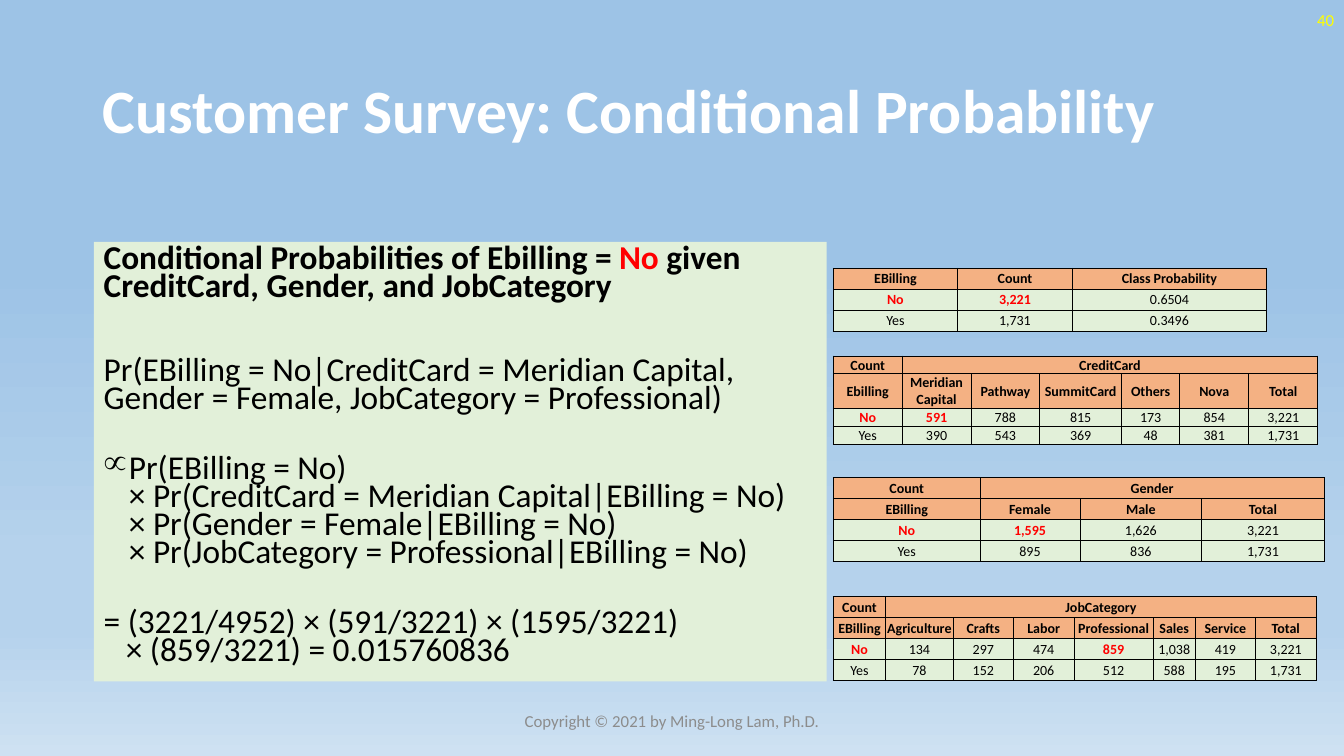
import copy
import dataclasses

import lxml.etree
import pptx
import pptx.dml.color
import pptx.enum.shapes
import pptx.enum.text
import pptx.oxml.ns
import pptx.util

qn = pptx.oxml.ns.qn
ALIGN = pptx.enum.text.PP_ALIGN
ANCHOR = pptx.enum.text.MSO_ANCHOR
WIDTH, HEIGHT = pptx.util.Inches(13.33), pptx.util.Inches(7.5)


@dataclasses.dataclass(frozen=True)
class Theme:
    font: str = "Calibri"
    ink: str = "000000"
    title: str = "FFFFFF"
    accent: str = "FF0000"
    page: str = "FFFF00"
    footer: str = "8C8C8C"
    panel: str = "E2F0D9"
    header: str = "F4B183"
    sky: tuple = ((0.35, "9DC3E6"), (0.74, "B5D2EC"), (0.83, "B5D2EC"), (1, "CEE1F2"))
    title_size: float = 44
    body_size: float = 23.8
    small_size: float = 12
    cell_size: float = 10
    border: float = 0.5


THEME = Theme()

TITLE_BOX = (6.9, 5.33, 86.25, 19.33)
PANEL_BOX = (6.98, 32, 54.53, 58.13)
PAGE_BOX = (77.5, 0, 22.5, 5.33)
FOOTER_BOX = (33.13, 92.67, 33.75, 5.33)
TABLE_LEFT, TABLE_WIDTH = 62, 35.93
ROW = 2.77
TIGHT_ROW = 2.35

# (text, space before in points, hanging indent in inches, bullet)
FORMULAS = [
    ("Pr(EBilling = No|CreditCard = Meridian Capital, "
     "Gender = Female, JobCategory = Professional)", 40, 0, None),
    ("Pr(EBilling = No)\v× Pr(CreditCard = Meridian Capital|EBilling = No)\v"
     "× Pr(Gender = Female|EBilling = No)\v"
     "× Pr(JobCategory = Professional|EBilling = No)", 30, 0.25, "∝"),
    ("= (3221/4952) × (591/3221) × (1595/3221)\v"
     "× (859/3221) = 0.015760836", 30, 0.22, None),
]

# top, row heights, column weights, column of the highlighted count, cells
TABLES = [
    (35.47, [ROW] * 3, [1.23, 1.23, 2.32], 1, [
        ["EBilling", "Count", "Class Probability"],
        ["No", "3,221", "0.6504"],
        ["Yes", "1,731", "0.3496"]]),
    (47.07, [TIGHT_ROW, 4.6, TIGHT_ROW, TIGHT_ROW],
     [0.68, 0.68, 0.68, 0.81, 0.56, 0.68, 0.68], 1, [
        ["Count", "CreditCard"],
        ["Ebilling", "Meridian Capital", "Pathway", "SummitCard", "Others", "Nova", "Total"],
        ["No", "591", "788", "815", "173", "854", "3,221"],
        ["Yes", "390", "543", "369", "48", "381", "1,731"]]),
    (63.2, [ROW] * 4, [1.46, 0.94, 1.2, 1.2], 1, [
        ["Count", "Gender"],
        ["EBilling", "Female", "Male", "Total"],
        ["No", "1,595", "1,626", "3,221"],
        ["Yes", "895", "836", "1,731"]]),
    (78.93, [ROW] * 4, [0.52, 0.68, 0.6, 0.6, 0.79, 0.4, 0.6, 0.6], 4, [
        ["Count", "JobCategory"],
        ["EBilling", "Agriculture", "Crafts", "Labor", "Professional", "Sales",
         "Service", "Total"],
        ["No", "134", "297", "474", "859", "1,038", "419", "3,221"],
        ["Yes", "78", "152", "206", "512", "588", "195", "1,731"]]),
]


def rgb(value):
    return pptx.dml.color.RGBColor.from_string(value)


def place(box):
    """Turn percentages of the slide into left, top, width and height."""
    return [round(share * side / 100) for share, side in zip(box, (WIDTH, HEIGHT) * 2)]


def format_runs(p, size, color, bold=False):
    for r in p.runs:
        r.font.name = THEME.font
        r.font.size = pptx.util.Pt(size)
        r.font.bold = bold
        r.font.color.rgb = rgb(color)


def paint_background(slide):
    fill = slide.background.fill
    fill.gradient()
    fill.gradient_angle = 270
    stops = slide.element.find(".//" + qn("a:gsLst"))
    while len(stops) < len(THEME.sky):
        stops.append(copy.deepcopy(stops[0]))
    for stop, (position, color) in zip(fill.gradient_stops, THEME.sky):
        stop.position = position
        stop.color.rgb = rgb(color)


def add_title(slide, box, text):
    sp = slide.shapes.title
    sp.left, sp.top, sp.width, sp.height = place(box)
    tf = sp.text_frame
    tf.text = text
    tf.auto_size = pptx.enum.text.MSO_AUTO_SIZE.NONE
    tf.vertical_anchor = ANCHOR.MIDDLE
    p = tf.paragraphs[0]
    p.alignment = ALIGN.LEFT
    p.line_spacing = 0.9
    format_runs(p, THEME.title_size, THEME.title, True)


def add_label(slide, box, text, color, alignment):
    tf = slide.shapes.add_textbox(*place(box)).text_frame
    tf.word_wrap = True
    tf.vertical_anchor = ANCHOR.MIDDLE
    tf.text = text
    p = tf.paragraphs[0]
    p.alignment = alignment
    format_runs(p, THEME.small_size, color)


def hang(p, indent, bullet):
    props = p._p.get_or_add_pPr()
    props.set("marL", str(pptx.util.Inches(indent)))
    props.set("indent", str(-pptx.util.Inches(indent)))
    if bullet:
        lxml.etree.SubElement(props, qn("a:buChar"), char=bullet)


def add_formula_panel(slide, box):
    sp = slide.shapes.add_shape(pptx.enum.shapes.MSO_SHAPE.RECTANGLE, *place(box))
    sp.shadow.inherit = False
    sp.fill.solid()
    sp.fill.fore_color.rgb = rgb(THEME.panel)
    sp.line.fill.background()
    tf = sp.text_frame
    tf.word_wrap = True
    tf.vertical_anchor = ANCHOR.TOP
    heading = tf.paragraphs[0]
    for text in ("Conditional Probabilities of Ebilling = ", "No",
                 " given CreditCard, Gender, and JobCategory"):
        heading.add_run().text = text
    format_runs(heading, THEME.body_size, THEME.ink, True)
    heading.runs[1].font.color.rgb = rgb(THEME.accent)
    for text, gap, indent, bullet in FORMULAS:
        p = tf.add_paragraph()
        p.text = text
        hang(p, indent, bullet)
        p.space_before = pptx.util.Pt(gap)
        format_runs(p, THEME.body_size, THEME.ink)
    for p in tf.paragraphs:
        p.alignment = ALIGN.LEFT
        p.line_spacing = 0.7


def add_borders(cell):
    props = cell._tc.get_or_add_tcPr()
    for side in ("a:lnL", "a:lnR", "a:lnT", "a:lnB"):
        ln = lxml.etree.SubElement(props, qn(side), w=str(pptx.util.Pt(THEME.border)))
        fill = lxml.etree.SubElement(ln, qn("a:solidFill"))
        lxml.etree.SubElement(fill, qn("a:srgbClr"), val=THEME.ink)


def format_cell(cell, is_header, is_accent):
    add_borders(cell)
    cell.fill.solid()
    cell.fill.fore_color.rgb = rgb(THEME.header if is_header else THEME.panel)
    cell.margin_left = cell.margin_right = cell.margin_top = pptx.util.Inches(0.01)
    cell.margin_bottom = 0
    cell.vertical_anchor = ANCHOR.MIDDLE
    p = cell.text_frame.paragraphs[0]
    p.alignment = ALIGN.CENTER
    format_runs(p, THEME.cell_size, THEME.accent if is_accent else THEME.ink,
                is_header or is_accent)


def add_count_table(slide, box, heights, weights, highlight, rows):
    """A short first row gets its last cell spread over the remaining columns."""
    frame = slide.shapes.add_table(len(rows), len(weights), *place(box))
    table = frame.table
    table.first_row = table.horz_banding = False
    for column, weight in zip(table.columns, weights):
        column.width = round(frame.width * weight / sum(weights))
    for row, height in zip(table.rows, heights):
        row.height = round(HEIGHT * height / 100)
    if len(rows[0]) < len(weights):
        table.cell(0, len(rows[0]) - 1).merge(table.cell(0, len(weights) - 1))
    for i, texts in enumerate(rows):
        for j, text in enumerate(texts):
            table.cell(i, j).text = text
        for j in range(len(weights)):
            format_cell(table.cell(i, j), i < len(rows) - 2,
                        texts[0] == "No" and j in (0, highlight))


def main():
    prs = pptx.Presentation()
    prs.slide_width, prs.slide_height = WIDTH, HEIGHT
    slide = prs.slides.add_slide(prs.slide_layouts[5])
    paint_background(slide)
    add_title(slide, TITLE_BOX, "Customer Survey: Conditional Probability")
    add_formula_panel(slide, PANEL_BOX)
    add_label(slide, PAGE_BOX, "40", THEME.page, ALIGN.RIGHT)
    for top, heights, *content in TABLES:
        add_count_table(slide, (TABLE_LEFT, top, TABLE_WIDTH, sum(heights)),
                        heights, *content)
    add_label(slide, FOOTER_BOX, "Copyright © 2021 by Ming-Long Lam, Ph.D.",
              THEME.footer, ALIGN.CENTER)
    prs.save("out.pptx")


if __name__ == "__main__":
    main()
